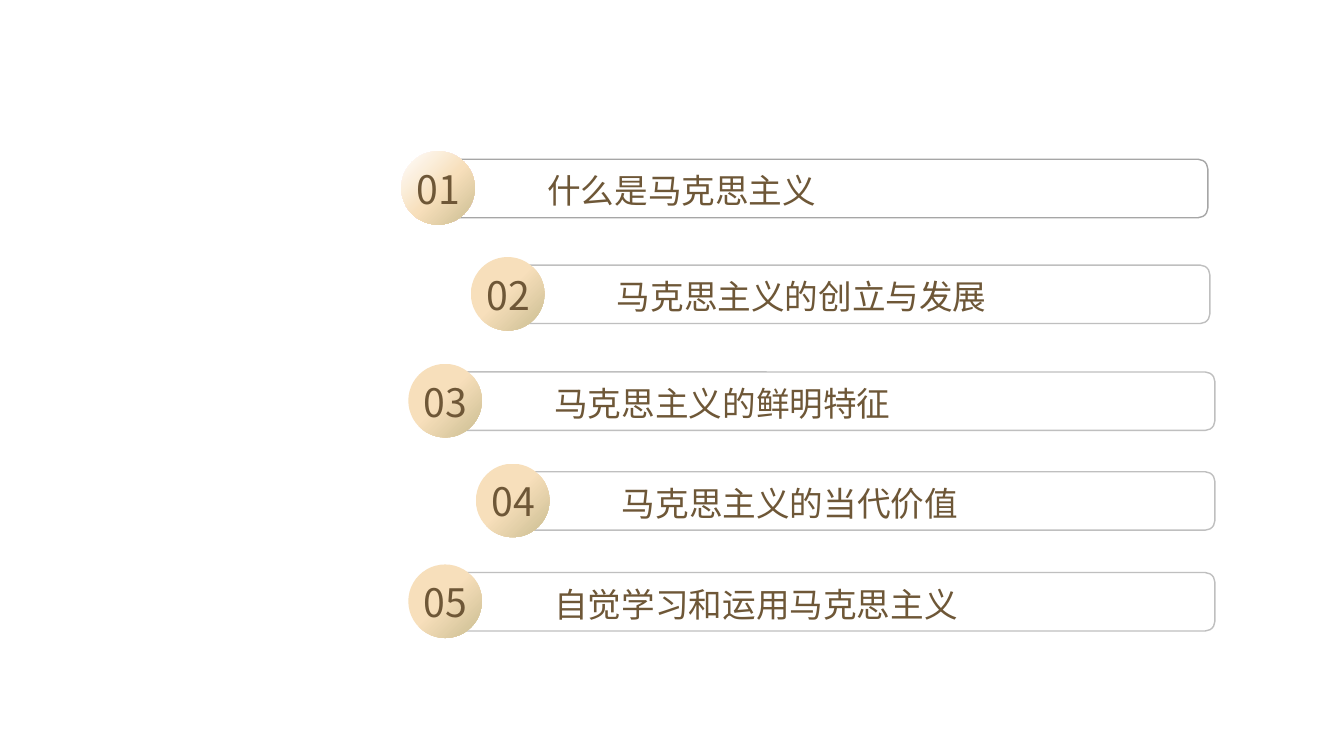
"""Build the agenda slide: five numbered, alternately indented chapter bars."""
from copy import deepcopy
from dataclasses import dataclass

import pptx
import pptx.dml.color
import pptx.enum.shapes
import pptx.enum.text
import pptx.oxml
import pptx.oxml.ns
import pptx.shapes.autoshape
import pptx.shapes.group
import pptx.util

Inches = pptx.util.Inches
FONT = "Noto Sans CJK SC"
COLORS = {
    "text": "6E5737",
    "first_outline": "A6A6A6",
    "outline": "BFBFBF",
    "white": "FFFFFF",
    "cream": "F7DFBB",
    "khaki": "CABD91",
}
FIRST_GRADIENT = ((0, "white"), (0.53, "cream"), (1, "khaki"))
GRADIENT = ((0.47, "cream"), (1, "khaki"))
WIDE, NARROW = 7.63, 6.96
BAR_HEIGHT = 0.58
DISC_SIZE = 0.73
TITLE_INDENT = 0.98


@dataclass(frozen=True)
class Chapter:
    title: str
    left: float
    top: float
    width: float
    outline: str = "outline"
    gradient: tuple[tuple[float, str], ...] = GRADIENT


CHAPTERS = (
    Chapter("什么是马克思主义", 4.35, 1.58, WIDE, "first_outline", FIRST_GRADIENT),
    Chapter("马克思主义的创立与发展", 5.04, 2.63, NARROW),
    Chapter("马克思主义的鲜明特征", 4.42, 3.69, WIDE),
    Chapter("马克思主义的当代价值", 5.09, 4.68, NARROW),
    Chapter("自觉学习和运用马克思主义", 4.42, 5.68, WIDE),
)


def rgb(name: str) -> pptx.dml.color.RGBColor:
    return pptx.dml.color.RGBColor.from_string(COLORS[name])


def fill_gradient(disc: pptx.shapes.autoshape.Shape,
                  gradient: tuple[tuple[float, str], ...]) -> None:
    disc.fill.gradient()
    disc.fill.gradient_angle = 315
    stop_list = disc._element.spPr.find(".//" + pptx.oxml.ns.qn("a:gsLst"))
    while len(stop_list) < len(gradient):
        stop_list.append(deepcopy(stop_list[0]))
    for stop, (position, color) in zip(disc.fill.gradient_stops, gradient):
        stop.position = position
        stop.color.rgb = rgb(color)


def add_label(group: pptx.shapes.group.GroupShape, text: str, left: float, top: float,
              width: float, height: float, size: int,
              alignment: pptx.enum.text.PP_ALIGN) -> None:
    label = group.shapes.add_textbox(Inches(left), Inches(top), Inches(width), Inches(height))
    label.text_frame.word_wrap = True
    label.text_frame.auto_size = pptx.enum.text.MSO_AUTO_SIZE.SHAPE_TO_FIT_TEXT
    paragraph = label.text_frame.paragraphs[0]
    paragraph.text = text
    paragraph.alignment = alignment
    paragraph.font.size = pptx.util.Pt(size)
    paragraph.font.color.rgb = rgb("text")
    paragraph.font.name = FONT
    properties = paragraph._p.pPr.find(pptx.oxml.ns.qn("a:defRPr"))
    east_asian = pptx.oxml.parse_xml(
        f'<a:ea {pptx.oxml.ns.nsdecls("a")} typeface="{FONT}"/>')
    properties.append(east_asian)


def add_chapter(group: pptx.shapes.group.GroupShape, number: int, chapter: Chapter) -> None:
    shapes = pptx.enum.shapes.MSO_SHAPE
    align = pptx.enum.text.PP_ALIGN
    left, top = chapter.left, chapter.top

    bar = group.shapes.add_shape(shapes.ROUNDED_RECTANGLE, Inches(left), Inches(top),
                                 Inches(chapter.width), Inches(BAR_HEIGHT))
    bar.shadow.inherit = False
    bar.fill.background()
    bar.line.color.rgb = rgb(chapter.outline)
    bar.line.width = pptx.util.Pt(1)

    disc = group.shapes.add_shape(shapes.OVAL, Inches(left - 0.37), Inches(top - 0.08),
                                  Inches(DISC_SIZE), Inches(DISC_SIZE))
    disc.shadow.inherit = False
    disc.line.fill.background()
    fill_gradient(disc, chapter.gradient)

    add_label(group, f"{number:02}", left - 0.5, top + 0.01, 1, 0.57, 28, align.CENTER)
    add_label(group, chapter.title, left + TITLE_INDENT, top + 0.06,
              chapter.width - TITLE_INDENT, 0.5, 24, align.LEFT)


def main() -> None:
    presentation = pptx.Presentation()
    presentation.slide_width = Inches(13.33)
    presentation.slide_height = Inches(7.5)
    slide = presentation.slides.add_slide(presentation.slide_layouts[6])
    for number, chapter in enumerate(CHAPTERS, start=1):
        add_chapter(slide.shapes.add_group_shape(), number, chapter)
    presentation.save("out.pptx")


if __name__ == "__main__":
    main()
